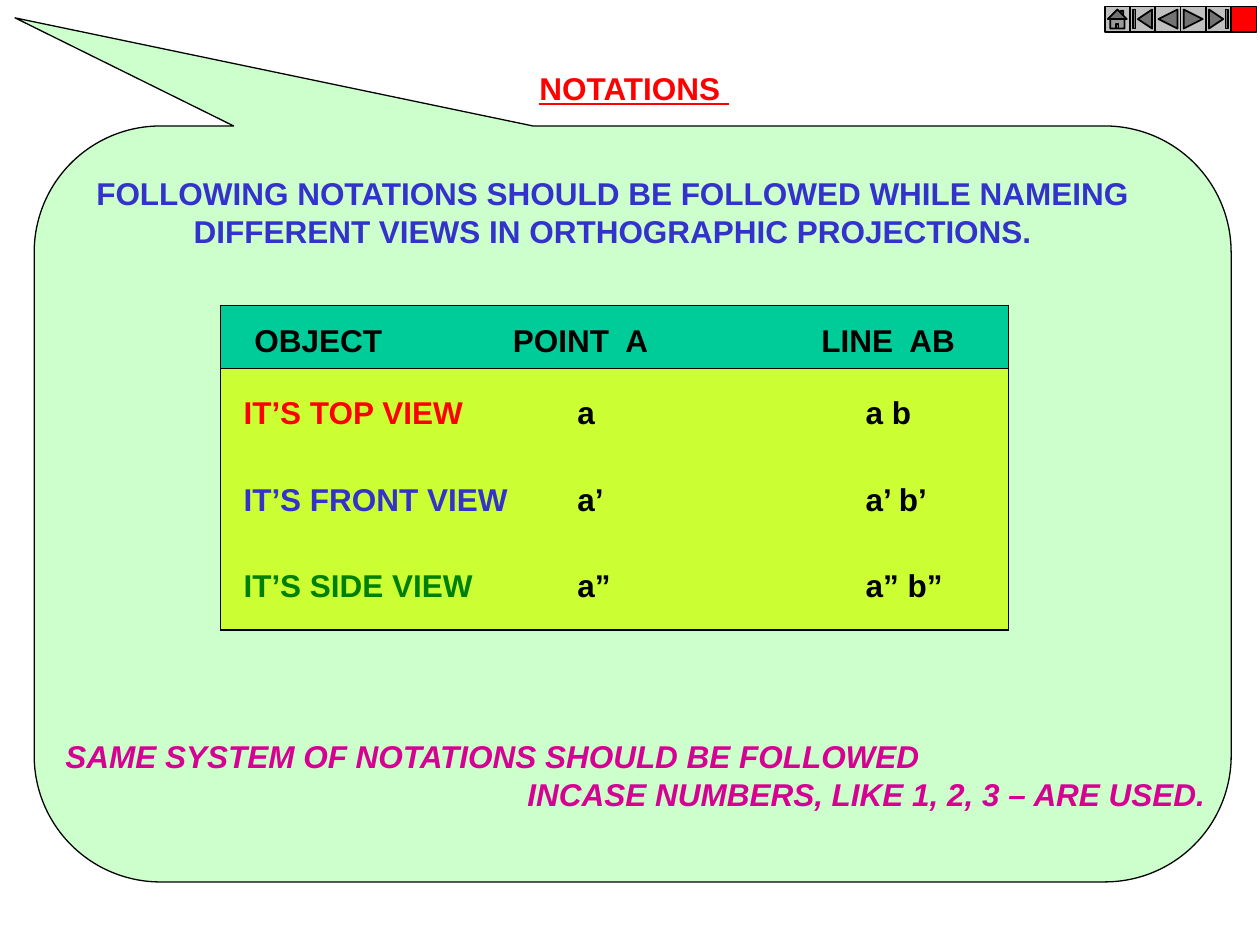
from lxml import etree
from pptx import Presentation
from pptx import util as u
from pptx.dml.color import RGBColor
from pptx.enum import shapes, text
from pptx.oxml.ns import qn

COLOURS = {
    "black": "000000", "red": "FF0000", "blue": "3333CC", "green": "008000",
    "magenta": "D60093", "mint": "CCFFCC", "lime": "CCFF33",
    "teal": "00CC99", "grey": "C0C0C0",
}
LEFT, CENTRE, RIGHT = (text.PP_ALIGN.LEFT, text.PP_ALIGN.CENTER,
                       text.PP_ALIGN.RIGHT)
BORDER = u.Pt(0.75)


def colour(name):
    return RGBColor.from_string(COLOURS[name])


def add_span(para, words, ink, italic=False, underline=False):
    span = para.add_run()
    span.text = words
    font = span.font
    font.name, font.size, font.bold = "Arial", u.Pt(18), True
    font.italic, font.underline = italic, underline
    font.color.rgb = colour(ink)


def fill_frame(frame, lines, ink, wrap=True, **style):
    """Each line is a pair of words and alignment."""
    frame.word_wrap = wrap
    frame.auto_size = text.MSO_AUTO_SIZE.NONE
    frame.vertical_anchor = text.MSO_ANCHOR.TOP
    for number, (words, alignment) in enumerate(lines):
        para = frame.add_paragraph() if number else frame.paragraphs[0]
        para.alignment = alignment
        add_span(para, words, ink, **style)


def add_shape(page, kind, left, top, width, height, fill, line):
    shape = page.shapes.add_shape(kind, u.Cm(left), u.Cm(top),
                                  u.Cm(width), u.Cm(height))
    shape.shadow.inherit = False
    shape.fill.solid()
    shape.fill.fore_color.rgb = colour(fill)
    shape.line.color.rgb = colour("black")
    shape.line.width = line
    return shape


def add_text(page, left, top, width, height, lines, ink, **style):
    box = page.shapes.add_textbox(u.Cm(left), u.Cm(top),
                                  u.Cm(width), u.Cm(height))
    fill_frame(box.text_frame, lines, ink, **style)
    return box


def add_title(page):
    title = page.shapes.title
    title.left, title.top = u.Cm(10.62), u.Cm(1.27)
    title.width, title.height = u.Cm(4.42), u.Cm(1.78)
    fill_frame(title.text_frame, [("NOTATIONS ", LEFT)], "red",
               wrap=False, underline=True)


def add_callout(page):
    callout = add_shape(page, shapes.MSO_SHAPE.ROUNDED_RECTANGULAR_CALLOUT,
                        0.69, 2.54, 24.13, 15.24, "mint", BORDER)
    for index, value in enumerate((-0.516, -0.643, 0.167)):
        callout.adjustments[index] = value


def set_borders(cell, visible):
    properties = cell._tc.get_or_add_tcPr()
    for side in "LRTB":
        line = etree.SubElement(properties, qn("a:ln" + side), w=str(BORDER))
        if side in visible:
            fill = etree.SubElement(line, qn("a:solidFill"))
            etree.SubElement(fill, qn("a:srgbClr"), val=COLOURS["black"])
        else:
            etree.SubElement(line, qn("a:noFill"))


def add_notation_table(page):
    rows = [
        ("black", "OBJECT", "POINT  A", "LINE  AB"),
        ("red", "IT’S TOP VIEW", "a", "a b"),
        ("blue", "IT’S FRONT VIEW", "a’", "a’ b’"),
        ("green", "IT’S SIDE VIEW", "a”", "a” b”"),
    ]
    widths, heights = (5.84, 6.22, 3.82), (1.27, 1.83, 1.7, 1.75)
    header_indents, body_indents = (0.68, 0.05, 0.05), (0.46, 1.35, 0.94)
    table = page.shapes.add_table(
        len(rows), len(widths), u.Cm(4.45), u.Cm(6.15),
        u.Cm(sum(widths)), u.Cm(sum(heights))).table
    for column, width in zip(table.columns, widths):
        column.width = u.Cm(width)
    for y, (ink, *labels) in enumerate(rows):
        table.rows[y].height = u.Cm(heights[y])
        indents = body_indents if y else header_indents
        for x, label in enumerate(labels):
            cell = table.cell(y, x)
            # Only the outer frame and the header rule show
            visible = ("L" if x == 0 else "") + ("R" if x == 2 else "")
            visible += "TB" if y == 0 else "T" if y == 1 else ""
            visible += "B" if y == len(rows) - 1 else ""
            set_borders(cell, visible)
            cell.fill.solid()
            cell.fill.fore_color.rgb = colour("lime" if y else "teal")
            cell.margin_left, cell.margin_right = u.Cm(indents[x]), 0
            cell.margin_top = u.Cm(0 if y else 0.2)
            cell.margin_bottom = 0
            cell.vertical_anchor = text.MSO_ANCHOR.MIDDLE
            add_span(cell.text_frame.paragraphs[0], label,
                     "black" if x else ink)


def add_navigation(page):
    kinds = shapes.MSO_SHAPE
    buttons = [kinds.ACTION_BUTTON_HOME, kinds.ACTION_BUTTON_BEGINNING,
               kinds.ACTION_BUTTON_BACK_OR_PREVIOUS,
               kinds.ACTION_BUTTON_FORWARD_OR_NEXT,
               kinds.ACTION_BUTTON_END, kinds.ACTION_BUTTON_CUSTOM]
    size = 0.51
    for index, kind in enumerate(buttons):
        fill = "red" if kind == kinds.ACTION_BUTTON_CUSTOM else "grey"
        add_shape(page, kind, 22.27 + index * size, 0.13, size, size,
                  fill, u.Pt(1))


def main():
    deck = Presentation()
    deck.slide_width, deck.slide_height = u.Cm(25.4), u.Cm(19.05)
    page = deck.slides.add_slide(deck.slide_layouts[5])

    # Heading and speech bubble
    add_title(page)
    add_callout(page)

    # Rule, notation table and closing remark
    add_text(page, 1.65, 3.38, 21.41, 1.78, [
        ("FOLLOWING NOTATIONS SHOULD BE FOLLOWED WHILE NAMEING", CENTRE),
        ("DIFFERENT VIEWS IN ORTHOGRAPHIC PROJECTIONS.", CENTRE),
    ], "blue", wrap=False)
    add_notation_table(page)
    remark = add_text(page, 1.07, 14.73, 23.93, 1.78, [
        ("SAME SYSTEM OF NOTATIONS SHOULD BE FOLLOWED", LEFT),
        ("INCASE NUMBERS, LIKE 1, 2, 3 – ARE USED.", RIGHT),
    ], "magenta", italic=True)
    remark.text_frame.margin_right = u.Cm(0.7)

    # Navigation buttons
    add_navigation(page)
    deck.save("out.pptx")


main()
